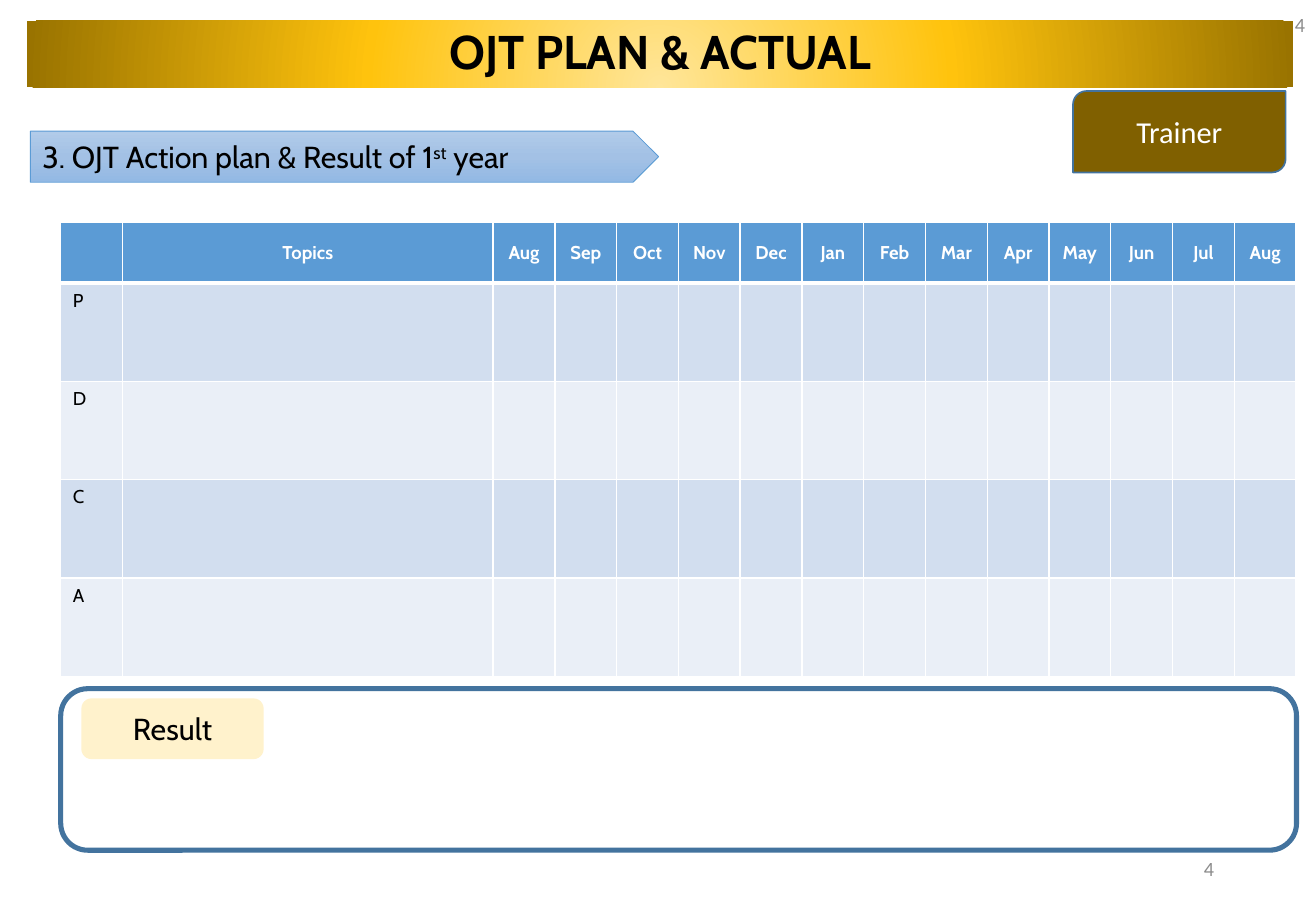
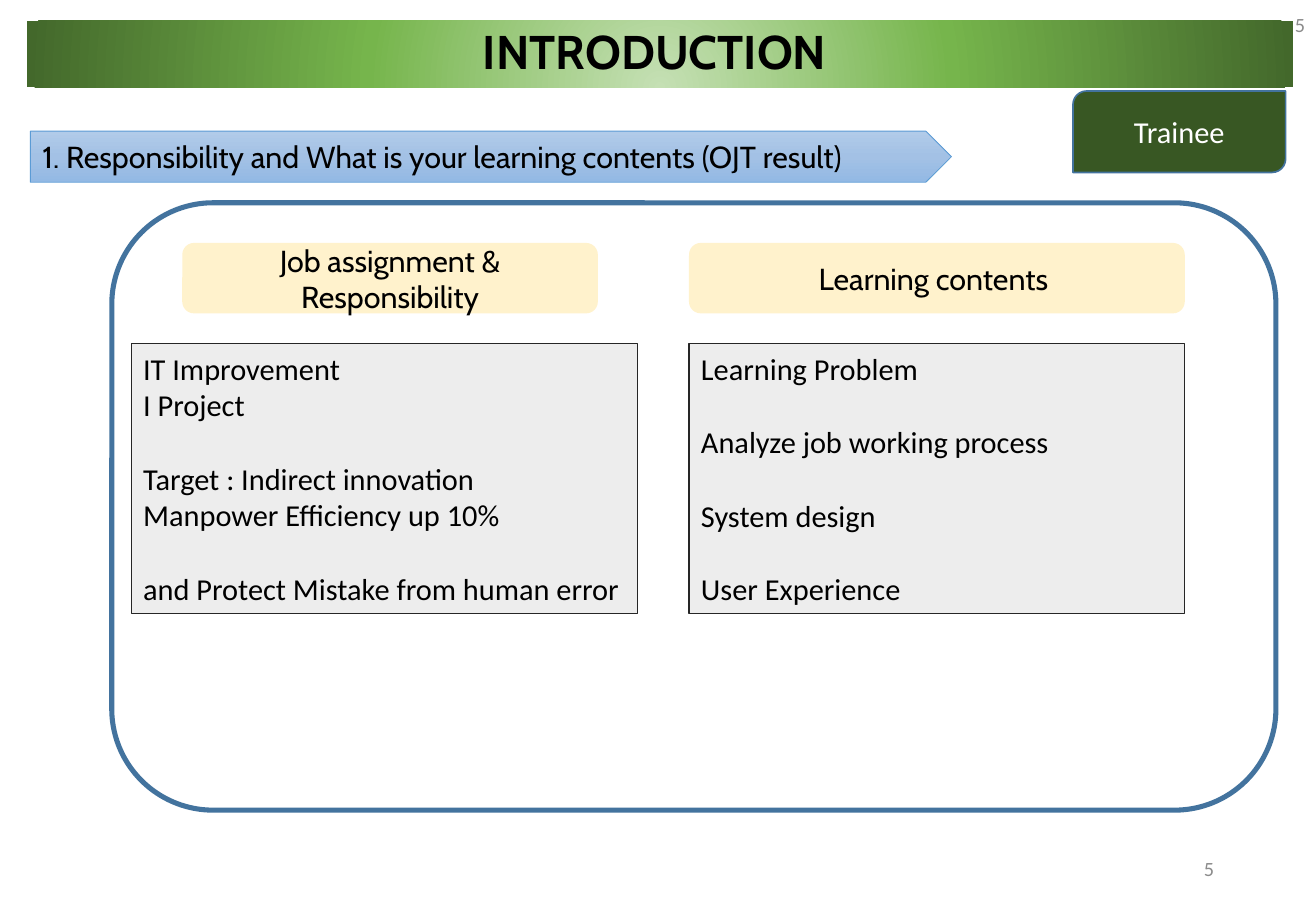
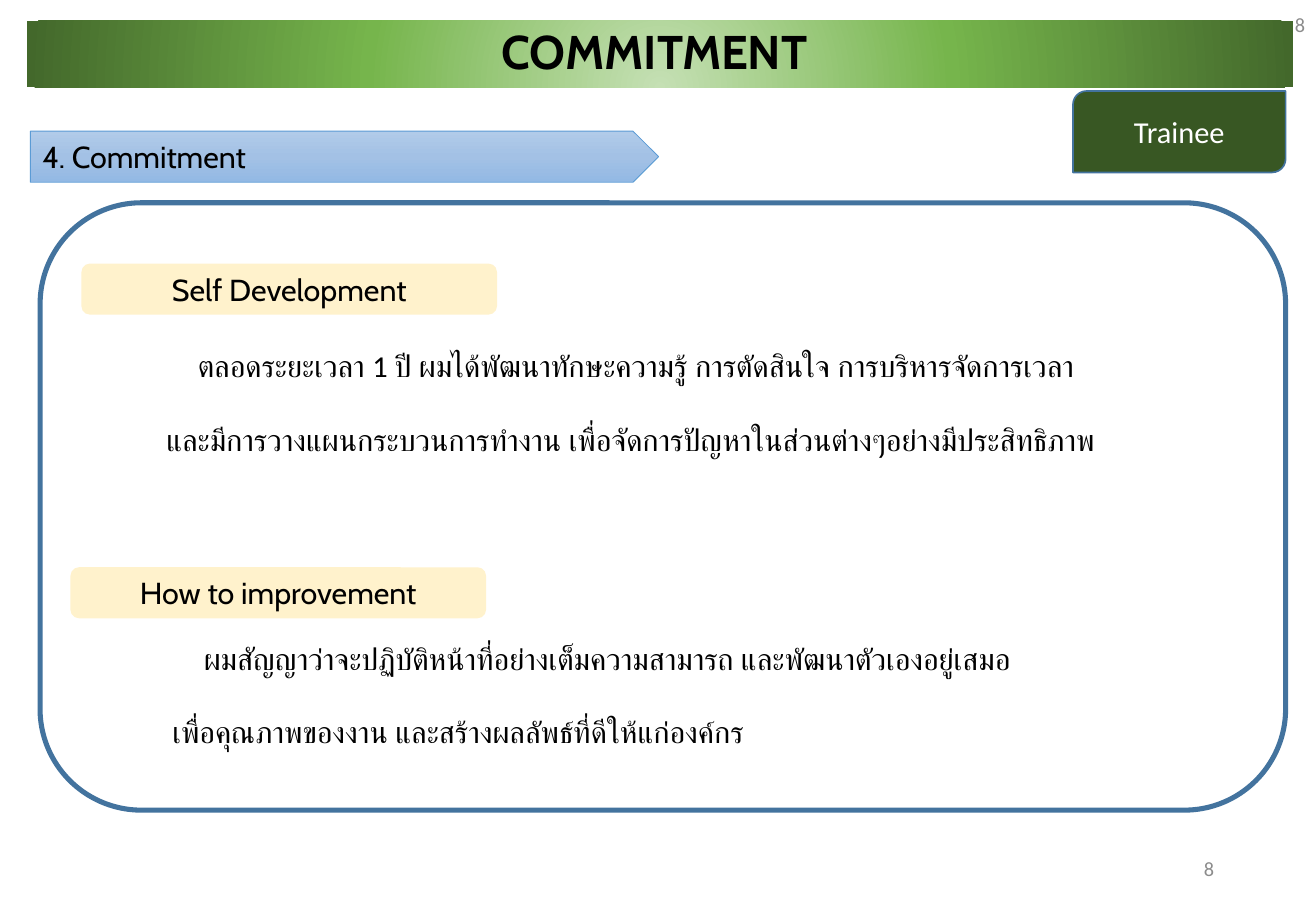
from dataclasses import dataclass

from lxml import etree
from pptx import Presentation
from pptx import util as u
from pptx.dml.color import RGBColor
from pptx.enum import shapes, text
from pptx.oxml import ns

SHAPE = shapes.MSO_SHAPE
ALIGN = text.PP_ALIGN
ANCHOR = text.MSO_ANCHOR


@dataclass(frozen=True)
class Theme:
    head: str = "Cabin"
    body: str = "Calibri"
    title_pt: int = 28
    text_pt: int = 18
    page_pt: int = 12
    table_pt: int = 11
    gap_pt: int = 22
    black: str = "000000"
    white: str = "FFFFFF"
    grey: str = "8C8C8C"
    outline: str = "43739E"
    blue: str = "5B9BD5"
    cream: str = "FFF2CC"
    panel: str = "EDEDED"
    panel_line: str = "262626"
    rows: tuple = ("D2DEEF", "EAEFF7")
    arrow: tuple = ((0, "B1CBE9"), (50, "A3C1E5"), (100, "93B9E4"))


@dataclass(frozen=True)
class Role:
    name: str
    tag: str
    band: tuple


T = Theme()
TRAINER = Role("Trainer", "806000", ((0, "FFE699"), (46, "FFC30D"), (100, "997300")))
TRAINEE = Role("Trainee", "385723", ((0, "C5E0B4"), (46, "76B54C"), (100, "43682B")))


def rgb(value):
    return RGBColor.from_string(value)


def sub(parent, tag, **attrs):
    return etree.SubElement(parent, ns.qn(tag), {k: str(v) for k, v in attrs.items()})


def add_run(p, words, size=T.text_pt, font=T.head, color=T.black, bold=False, raised=False):
    r = p.add_run()
    r.text = words
    r.font.size, r.font.name, r.font.bold = u.Pt(size), font, bold
    r.font.color.rgb = rgb(color)
    if raised:
        r._r.get_or_add_rPr().set("baseline", "30000")


def add_box(s, at, kind=SHAPE.RECTANGLE, fill=None, line=None, width=1):
    sp = s.shapes.add_shape(kind, *map(u.Inches, at))
    sp.shadow.inherit = False
    if fill:
        sp.fill.solid()
        sp.fill.fore_color.rgb = rgb(fill)
    else:
        sp.fill.background()
    if line:
        sp.line.color.rgb = rgb(line)
        sp.line.width = u.Pt(width)
    else:
        sp.line.fill.background()
    sp.text_frame.word_wrap = True
    return sp


def set_gradient(sp, stops, radial=False):
    sp.fill.solid()
    solid = sp._element.spPr.find(ns.qn("a:solidFill"))
    grad = etree.Element(ns.qn("a:gradFill"), rotWithShape="1")
    stop_list = sub(grad, "a:gsLst")
    for pos, color in stops:
        sub(sub(stop_list, "a:gs", pos=pos * 1000), "a:srgbClr", val=color)
    if radial:
        centre = sub(grad, "a:path", path="circle")
        sub(centre, "a:fillToRect", l=50000, t=130000, r=50000, b=-30000)
    else:
        sub(grad, "a:lin", ang=5400000, scaled=0)
    solid.getparent().replace(solid, grad)


def first_paragraph(sp, align=ALIGN.CENTER):
    sp.text_frame.vertical_anchor = ANCHOR.MIDDLE
    p = sp.text_frame.paragraphs[0]
    p.alignment = align
    return p


def add_groups(sp, groups, indent=0):
    """Write groups of lines, one line height apart; indent shifts the first line."""
    tf = sp.text_frame
    tf.word_wrap = True
    tf.vertical_anchor = ANCHOR.TOP
    p = None
    for g, lines in enumerate(groups):
        for i, words in enumerate(lines):
            p = tf.add_paragraph() if p else tf.paragraphs[0]
            p.alignment = ALIGN.LEFT
            if g and i == 0:
                p.space_before = u.Pt(T.gap_pt)
            add_run(p, words, font=T.body)
    if indent:
        tf.paragraphs[0]._p.get_or_add_pPr().set("indent", str(u.Inches(indent)))


def add_page_number(s, at, number):
    sp = s.shapes.add_textbox(*map(u.Inches, at))
    sp.text_frame.word_wrap = True
    add_run(first_paragraph(sp, ALIGN.RIGHT), str(number), T.page_pt, T.body, T.grey)


def add_label(s, at, words):
    sp = add_box(s, at, SHAPE.ROUNDED_RECTANGLE, T.cream)
    add_run(first_paragraph(sp), words)


def add_frame(s, at):
    add_box(s, at, SHAPE.ROUNDED_RECTANGLE, line=T.outline, width=3)


def add_panel(s, at, groups):
    add_groups(add_box(s, at, fill=T.panel, line=T.panel_line, width=0.75), groups)


def add_note(s, at, lines):
    sp = s.shapes.add_textbox(*map(u.Inches, at))
    add_groups(sp, [[line] for line in lines], indent=0.26)


def add_base(prs, role, title, number, heading, arrow_width=5.17):
    """Start a slide with its band, page numbers, role tag and section arrow.

    The heading is a list of (words, raised) runs.
    """
    s = prs.slides.add_slide(prs.slide_layouts[6])
    band = add_box(s, (0.22, 0.17, 10.42, 0.55))
    set_gradient(band, role.band, radial=True)
    p = first_paragraph(band)
    p.line_spacing = 0.9
    add_run(p, title, T.title_pt, bold=True)
    for at in ((7.65, 6.95, 2.44, 0.4), (10.17, 0, 0.67, 0.4)):
        add_page_number(s, at, number)
    tag = add_box(s, (8.83, 0.75, 1.75, 0.67), SHAPE.ROUND_2_DIAG_RECTANGLE, role.tag, T.outline)
    add_run(first_paragraph(tag), role.name, font=T.body, color=T.white)
    arrow = add_box(s, (0.25, 1.08, arrow_width, 0.42), SHAPE.PENTAGON, line=T.blue, width=0.5)
    set_gradient(arrow, T.arrow)
    p = first_paragraph(arrow, ALIGN.LEFT)
    for words, raised in heading:
        add_run(p, words, raised=raised)
    return s


def style_cell(cell, fill, top=1, bottom=1):
    tc_pr = cell._tc.get_or_add_tcPr()
    for side, width in (("L", 1), ("R", 1), ("T", top), ("B", bottom)):
        ln = sub(tc_pr, "a:ln" + side, w=u.Pt(width))
        sub(sub(ln, "a:solidFill"), "a:srgbClr", val=T.white)
    cell.fill.solid()
    cell.fill.fore_color.rgb = rgb(fill)


def add_plan_table(s, at, months, steps):
    heads = ["", "Topics", *months]
    topic_width, head_height, step_height = 3.05, 0.5, 0.81
    table = s.shapes.add_table(len(steps) + 1, len(heads), *map(u.Inches, at)).table
    narrow = (at[2] - topic_width) / (len(heads) - 1)
    for c, head in enumerate(heads):
        table.columns[c].width = u.Inches(topic_width if c == 1 else narrow)
        cell = table.cell(0, c)
        if c > 1:
            cell.margin_left = cell.margin_right = u.Inches(0.01)
            cell.margin_top = cell.margin_bottom = u.Inches(0.01)
        style_cell(cell, T.blue, bottom=3)
        if head:
            cell.vertical_anchor = ANCHOR.MIDDLE
            p = cell.text_frame.paragraphs[0]
            p.alignment = ALIGN.CENTER
            add_run(p, head, T.table_pt, color=T.white, bold=True)
    table.rows[0].height = u.Inches(head_height)
    for i, step in enumerate(steps, 1):
        table.rows[i].height = u.Inches(step_height)
        for c in range(len(heads)):
            style_cell(table.cell(i, c), T.rows[(i - 1) % 2], top=3 if i == 1 else 1)
        add_run(table.cell(i, 0).text_frame.paragraphs[0], step, T.table_pt)


def add_plan_slide(prs):
    heading = [("3. OJT Action plan & Result of 1", False), ("st", True), (" year", False)]
    s = add_base(prs, TRAINER, "OJT PLAN & ACTUAL", 4, heading)
    months = "Aug Sep Oct Nov Dec Jan Feb Mar Apr May Jun Jul Aug".split()
    add_plan_table(s, (0.5, 1.83, 10.17, 3.75), months, "PDCA")
    add_frame(s, (0.5, 5.67, 10.17, 1.33))
    add_label(s, (0.67, 5.75, 1.5, 0.5), "Result")


def add_introduction_slide(prs):
    heading = [("1. Responsibility and What is your learning contents (OJT result)", False)]
    s = add_base(prs, TRAINEE, "INTRODUCTION ", 5, heading, arrow_width=7.58)
    add_frame(s, (0.92, 1.67, 9.58, 5))
    add_label(s, (1.5, 2, 3.42, 0.58), "Job assignment & Responsibility")
    add_label(s, (5.67, 2, 4.08, 0.58), "Learning contents ")
    add_panel(s, (1.08, 2.83, 4.17, 2.22), [
        ["IT Improvement", "I Project"],
        ["Target : Indirect innovation", "Manpower Efficiency up 10%"],
        ["and Protect Mistake from human error"],
    ])
    add_panel(s, (5.67, 2.83, 4.08, 2.22), [
        ["Learning Problem"],
        ["Analyze job working process"],
        ["System design"],
        ["User Experience"],
    ])


def add_commitment_slide(prs):
    s = add_base(prs, TRAINEE, "COMMITMENT ", 8, [("4. Commitment", False)])
    add_frame(s, (0.33, 1.67, 10.25, 5))
    add_label(s, (0.67, 2.17, 3.42, 0.42), "Self Development")
    add_label(s, (0.58, 4.67, 3.42, 0.42), "How to improvement")
    add_note(s, (1.32, 5.22, 8.2, 1.01), [
        "ผมสัญญาว่าจะปฏิบัติหน้าที่อย่างเต็มความสามารถ และพัฒนาตัวเองอยู่เสมอ",
        "เพื่อคุณภาพของงาน และสร้างผลลัพธ์ที่ดีให้แก่องค์กร",
    ])
    add_note(s, (1.27, 2.81, 9.15, 1.01), [
        "ตลอดระยะเวลา 1 ปี ผมได้พัฒนาทักษะความรู้ การตัดสินใจ การบริหารจัดการเวลา",
        "และมีการวางแผนกระบวนการทำงาน เพื่อจัดการปัญหาในส่วนต่างๆอย่างมีประสิทธิภาพ",
    ])


def main():
    prs = Presentation()
    prs.slide_width, prs.slide_height = u.Inches(10.83), u.Inches(7.5)
    add_plan_slide(prs)
    add_introduction_slide(prs)
    add_commitment_slide(prs)
    prs.save("out.pptx")


if __name__ == "__main__":
    main()
